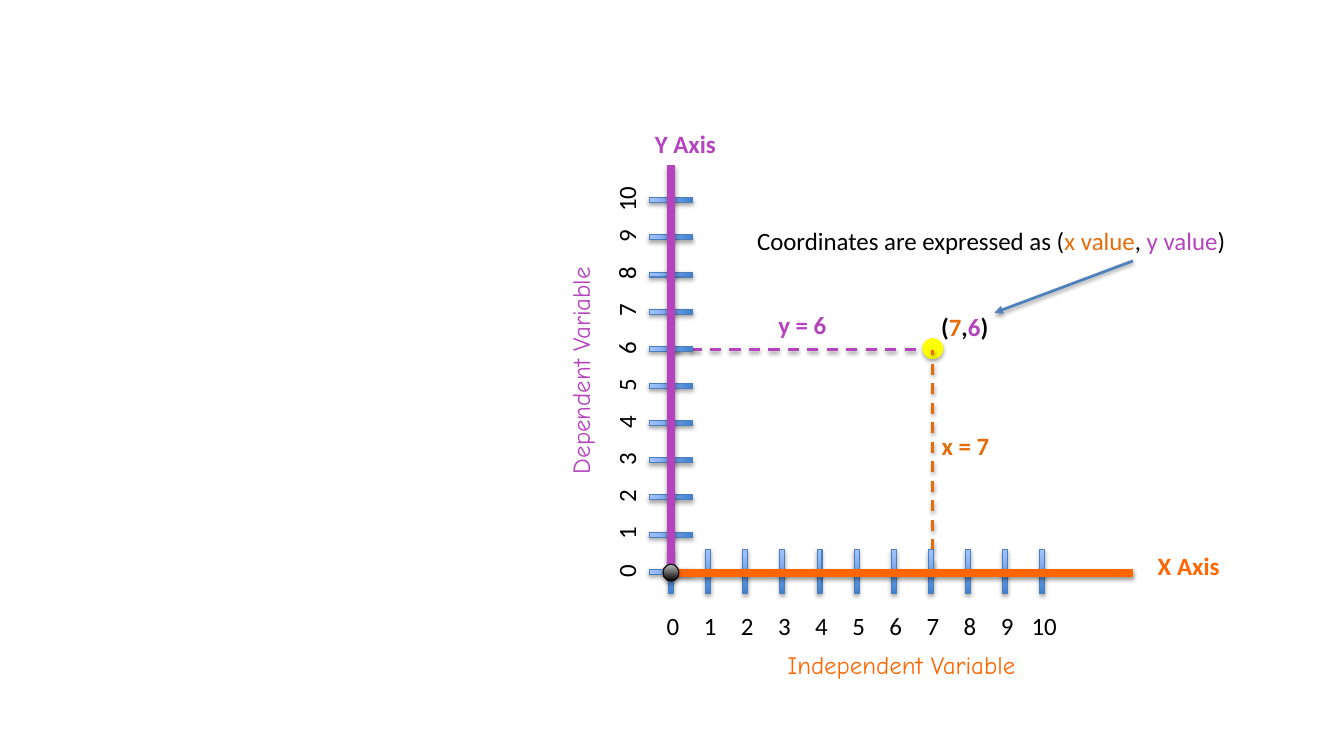
import pptx
import pptx.dml.color
import pptx.enum.dml
import pptx.enum.shapes
import pptx.enum.text
import pptx.oxml
import pptx.oxml.ns
import pptx.util
from dataclasses import dataclass

Inches = pptx.util.Inches
Pt = pptx.util.Pt
RGB = pptx.dml.color.RGBColor.from_string
MSO_SHAPE = pptx.enum.shapes.MSO_SHAPE
ALIGN = pptx.enum.text.PP_ALIGN


@dataclass(frozen=True)
class Theme:
    purple: str = "B543BD"
    orange: str = "FF6600"
    rust: str = "E46C0A"
    yellow: str = "FFFF00"
    black: str = "000000"
    arrow: str = "4F81BD"
    tick_edge: str = "4B7EBC"
    tick_fill: tuple = ("3F80CE", "A4C4FF")
    origin_fill: tuple = ("000000", "BDBDBD")
    font: str = "Calibri"
    hand_font: str = "Comic Neue"
    size: int = 18
    hairline: float = 0.75
    line: float = 2
    axis: float = 6


theme = Theme()


def cast_shadow(sp, opacity, distance):
    """Give a shape or connector a soft shadow straight below; call after its line is set."""
    for old in sp._element.spPr.findall(pptx.oxml.ns.qn("a:effectLst")):
        sp._element.spPr.remove(old)
    sp._element.spPr.append(pptx.oxml.parse_xml(
        f'<a:effectLst {pptx.oxml.ns.nsdecls("a")}>'
        f'<a:outerShdw blurRad="{Pt(3.1)}" dist="{Pt(distance)}" dir="5400000" rotWithShape="0">'
        f'<a:srgbClr val="{theme.black}"><a:alpha val="{opacity * 1000}"/></a:srgbClr>'
        '</a:outerShdw></a:effectLst>'))


def add_text(box, runs, rotation=0, align=ALIGN.CENTER, **font):
    """Add a one-line text box; runs are (text, colour) pairs."""
    tb = s.shapes.add_textbox(*map(Inches, box))
    tb.rotation = rotation
    tf = tb.text_frame
    tf.word_wrap = True
    tf.auto_size = pptx.enum.text.MSO_AUTO_SIZE.SHAPE_TO_FIT_TEXT
    p = tf.paragraphs[0]
    p.alignment = align
    values = {"name": theme.font, "size": Pt(theme.size), "bold": False, **font}
    for text, color in runs:
        r = p.add_run()
        r.text = text
        for name, value in values.items():
            setattr(r.font, name, value)
        r.font.color.rgb = RGB(color)


prs = pptx.Presentation()
prs.slide_width, prs.slide_height = Inches(13.5), Inches(7.5)
s = prs.slides.add_slide(prs.slide_layouts[6])

# The grid: ticks 0 to 10 spread evenly along both axes
origin_x, origin_y = 6.74, 5.74
step = 3.73 / 10
tick_w, tick_h = 0.05, 0.44
label_w, label_h = 0.46, 0.4
point_x, point_y = 9.37, 3.51

# Figures from back to front
# Lines: from x, from y, to x, to y, colour, width, dashed, arrow
# Shapes: centre x, centre y, width, height, preset, fill, edge, rotation
figures = [
    ("line", (origin_x, point_y, 9.47, point_y), theme.purple, theme.line, True, False),
    ("shape", (point_x, 3.5, 0.21, 0.21), MSO_SHAPE.OVAL, theme.yellow, None, 0),
    ("line", (point_x, 5.72, point_x, point_y), theme.rust, theme.line, True, False),
]
for n in range(11):
    for x, y, rotation in ((origin_x, origin_y - n * step, 270),
                           (origin_x + n * step, origin_y, 0)):
        figures.append(("shape", (x, y, tick_w, tick_h), MSO_SHAPE.RECTANGLE,
                        theme.tick_fill, theme.tick_edge, rotation))
figures += [
    ("line", (11.38, 5.75, origin_x, 5.75), theme.orange, theme.axis, False, False),
    ("line", (origin_x, 1.66, origin_x, origin_y), theme.purple, theme.axis, False, False),
    ("shape", (origin_x, 5.75, 0.16, 0.17), MSO_SHAPE.OVAL,
     theme.origin_fill, theme.black, 0),
    ("line", (11.38, 2.62, 9.99, 3.14), theme.arrow, theme.line, False, True),
]

for kind, place, *style in figures:
    if kind == "line":
        color, width, dashed, arrow = style
        cn = s.shapes.add_connector(pptx.enum.shapes.MSO_CONNECTOR.STRAIGHT,
                                    *map(Inches, place))
        cn.line.color.rgb = RGB(color)
        cn.line.width = Pt(width)
        if dashed:
            cn.line.dash_style = pptx.enum.dml.MSO_LINE.DASH
        if arrow:
            cn.line._get_or_add_ln().append(pptx.oxml.parse_xml(
                f'<a:tailEnd {pptx.oxml.ns.nsdecls("a")} type="triangle"/>'))
        cast_shadow(cn, 38, 1.6)
        continue
    x, y, w, h = place
    preset, fill, edge, rotation = style
    sp = s.shapes.add_shape(preset, *map(Inches, (x - w / 2, y - h / 2, w, h)))
    sp.rotation = rotation
    if isinstance(fill, tuple):
        sp.fill.gradient()
        sp.fill.gradient_angle = 90
        for stop, color in zip(sp.fill.gradient_stops, fill):
            stop.color.rgb = RGB(color)
    else:
        sp.fill.solid()
        sp.fill.fore_color.rgb = RGB(fill)
    if edge:
        sp.line.color.rgb = RGB(edge)
        sp.line.width = Pt(theme.hairline)
    else:
        sp.line.fill.background()
    cast_shadow(sp, 35, 1.8)

# Tick labels
for n in range(11):
    for x, y, rotation in ((6.29, 5.73 - n * step, 270), (6.76 + n * step, 6.28, 0)):
        add_text((x - label_w / 2, y - label_h / 2, label_w, label_h),
                 [(str(n), theme.black)], rotation)

# Axis names
add_text((6.21, 1.24, 1.35, 0.4), [("Y Axis", theme.purple)], bold=True)
add_text((11.23, 5.48, 1.42, 0.4), [("X Axis", theme.orange)], bold=True)
add_text((4.33, 3.52, 3, 0.4), [("Dependent Variable", theme.purple)], 270,
         name=theme.hand_font)
add_text((7.6, 6.47, 2.91, 0.71), [("Independent Variable", theme.orange)],
         name=theme.hand_font)

# The plotted point and its explanation
add_text((7.72, 3.06, 0.73, 0.4), [("y = 6", theme.purple)], align=ALIGN.LEFT, bold=True)
add_text((9.36, 4.27, 0.73, 0.4), [("x = 7", theme.rust)], align=ALIGN.LEFT, bold=True)
add_text((9.27, 3.08, 0.84, 0.4),
         [("(", theme.black), ("7", theme.rust), (",", theme.black),
          ("6", theme.purple), (")", theme.black)], bold=True)
add_text((7.48, 2.22, 4.95, 0.4),
         [("Coordinates are expressed as (", theme.black), ("x value", theme.rust),
          (", ", theme.black), ("y value", theme.purple), (")", theme.black)])

prs.save("out.pptx")
